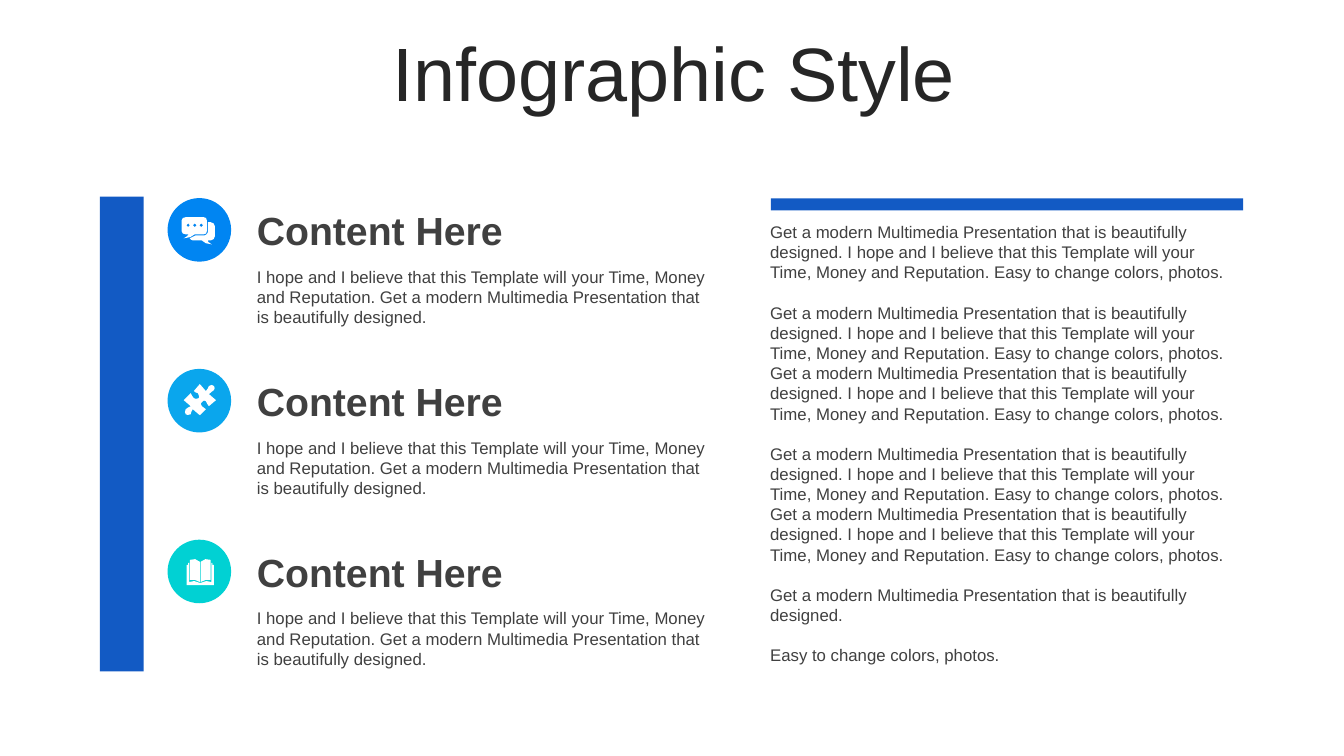
from pptx import Presentation
from pptx.dml.color import RGBColor
from pptx.enum.shapes import MSO_SHAPE as Preset
from pptx.enum.text import MSO_ANCHOR as Anchor, PP_ALIGN as Align
from pptx.util import Pt

FONT = "Arial"
BLUE, WHITE, INK, DARK = "125AC4", "FFFFFF", "404040", "262626"

HEADING = "Content Here"
SUMMARY = ("I hope and I believe that this Template will your Time, Money and "
           "Reputation. Get a modern Multimedia Presentation that is "
           "beautifully designed.")
OPENING = "Get a modern Multimedia Presentation that is beautifully designed."
CLOSING = "Easy to change colors, photos."
PITCH = (f"{OPENING} I hope and I believe that this Template will your Time, "
         f"Money and Reputation. {CLOSING}")
DETAILS = [PITCH, f"{PITCH} {PITCH}", f"{PITCH} {PITCH}", OPENING, CLOSING]

# Icon outlines, in steps of 0.72 pt from the badge corner:
# a pair is a straight line, six numbers are a Bezier curve.
ICON_STEP = Pt(0.72)
FINENESS = 100  # drawing units in one step


def chat_dot(x, y=27, r=1.8):
    return [(x, y - r), (x - r, y), (x, y + r), (x + r, y)]


CHAT = [
    # front bubble
    [(18, 19), (36, 19), (38, 19, 39, 20, 39, 22), (39, 33),
     (39, 35, 38, 36, 36, 36), (27, 36), (24, 39, 22, 39, 16, 40),
     (19, 38, 20, 38, 21, 36), (18, 36), (16, 36, 14, 35, 14, 33),
     (14, 22), (14, 20, 16, 19, 18, 19)],
    # back bubble
    [(40, 24), (43, 24), (45, 24, 47, 26, 47, 28), (47, 38),
     (47, 40, 45, 42, 43, 42), (40, 42), (40, 43, 40, 44, 44, 46),
     (38, 45, 37, 45, 34, 42), (25, 42), (24, 42, 23, 41, 22, 40),
     (24, 39, 26, 38, 28, 37), (37, 37), (38, 37, 40, 35, 40, 34)],
    *[chat_dot(x) for x in (20.5, 27, 33.5)],
]
PUZZLE = [
    [(46, 17), (47, 18, 47, 20, 46, 21), (45, 23, 43, 22, 41, 25), (48, 31),
     (41, 37), (39, 36, 40, 34, 38, 32), (37, 31, 35, 31, 34, 33),
     (33, 33, 32, 36, 34, 37), (36, 39, 36, 38, 38, 40), (32, 46), (25, 40),
     (23, 42, 24, 43, 23, 45), (21, 46, 19, 46, 18, 45),
     (17, 44, 17, 42, 18, 40), (19, 38, 21, 39, 23, 37), (16, 31), (23, 24),
     (25, 26, 24, 28, 26, 29), (27, 30, 29, 30, 31, 29),
     (31, 28, 32, 26, 30, 24), (28, 23, 28, 24, 26, 22), (32, 15), (38, 22),
     (41, 20, 39, 19, 41, 17), (43, 15, 45, 16, 46, 17)],
]
BOOK = [
    # left page, right page, cover
    [(22.3, 20), (26, 18.5, 29, 19, 32.2, 22), (32.2, 42),
     (29, 40, 25, 39, 22.3, 40)],
    [(42.7, 20), (39, 18.5, 36, 19, 32.8, 22), (32.8, 42),
     (36, 40, 40, 39, 42.7, 40)],
    [(19, 25), (20.5, 25), (20.5, 23), (21.5, 23), (21.5, 42),
     (25, 40, 28, 41, 32.5, 43), (37, 41, 40, 40, 43.5, 42), (43.5, 23),
     (44.5, 23), (44.5, 25), (46, 25), (46, 45), (19, 45)],
]
TOPICS = [("0085F2", CHAT), ("0AA6ED", PUZZLE), ("01D1D3", BOOK)]


def color(hex_code):
    return RGBColor.from_string(hex_code)


def paint(shape, hex_code):
    shape.shadow.inherit = False
    shape.fill.solid()
    shape.fill.fore_color.rgb = color(hex_code)
    shape.line.fill.background()


def add_block(slide, preset, left, top, width, height, hex_code):
    block = slide.shapes.add_shape(preset, Pt(left), Pt(top), Pt(width), Pt(height))
    paint(block, hex_code)


def add_text(slide, left, top, width, height, paragraphs, size, ink=INK,
             bold=False, anchor=Anchor.TOP, align=Align.LEFT, gap=0, spacing=None):
    frame = slide.shapes.add_textbox(Pt(left), Pt(top), Pt(width), Pt(height)).text_frame
    frame.word_wrap = True
    frame.vertical_anchor = anchor
    for index, wording in enumerate(paragraphs):
        paragraph = frame.add_paragraph() if index else frame.paragraphs[0]
        paragraph.alignment = align
        if spacing:
            paragraph.line_spacing = spacing
        if index:
            paragraph.space_before = Pt(gap)
        run = paragraph.add_run()
        run.text = wording
        run.font.name = FONT
        run.font.size = Pt(size)
        run.font.bold = bold
        run.font.color.rgb = color(ink)


def flatten(outline):
    """Turn lines and curves into points; a curve gets its middle and its end."""
    points = [outline[0]]
    for segment in outline[1:]:
        if len(segment) == 6:
            x0, y0 = points[-1]
            x1, y1, x2, y2, x3, y3 = segment
            points.append(((x0 + 3 * x1 + 3 * x2 + x3) / 8,
                           (y0 + 3 * y1 + 3 * y2 + y3) / 8))
        points.append(segment[-2:])
    return [(x * FINENESS, y * FINENESS) for x, y in points]


def add_icon(slide, left, top, outlines):
    start, *rest = flatten(outlines[0])
    builder = slide.shapes.build_freeform(*start, scale=ICON_STEP / FINENESS)
    builder.add_line_segments(rest, close=True)
    for outline in outlines[1:]:
        start, *rest = flatten(outline)
        builder.move_to(*start)
        builder.add_line_segments(rest, close=True)
    paint(builder.convert_to_shape(Pt(left), Pt(top)), WHITE)


def add_topic(slide, top, badge_color, icon):
    add_block(slide, Preset.OVAL, 119.7, top, 45.4, 45.4, badge_color)
    add_icon(slide, 119.7, top, icon)
    add_text(slide, 176.4, top + 2.2, 337.7, 41, [HEADING], 28, bold=True,
             anchor=Anchor.MIDDLE)
    add_text(slide, 176.4, top + 45.4, 337.7, 51, [SUMMARY], 12)


def main():
    deck = Presentation()
    deck.slide_width, deck.slide_height = Pt(960), Pt(540)
    slide = deck.slides.add_slide(deck.slide_layouts[6])

    # Title
    add_text(slide, 25.6, 26.6, 911.5, 57, ["Infographic Style"], 54, DARK,
             anchor=Anchor.MIDDLE, align=Align.CENTER, spacing=0.9)

    # Topics beside the tall bar
    add_block(slide, Preset.RECTANGLE, 71.4, 140.4, 31.2, 339.2, BLUE)
    for row, (badge_color, icon) in enumerate(TOPICS):
        add_topic(slide, 141.5 + 122 * row, badge_color, icon)

    # Details under the flat bar
    add_block(slide, Preset.RECTANGLE, 550.6, 141.7, 337.5, 8.6, BLUE)
    add_text(slide, 543, 154.9, 347, 327, DETAILS, 12, gap=14.4)

    deck.save("out.pptx")


if __name__ == "__main__":
    main()
